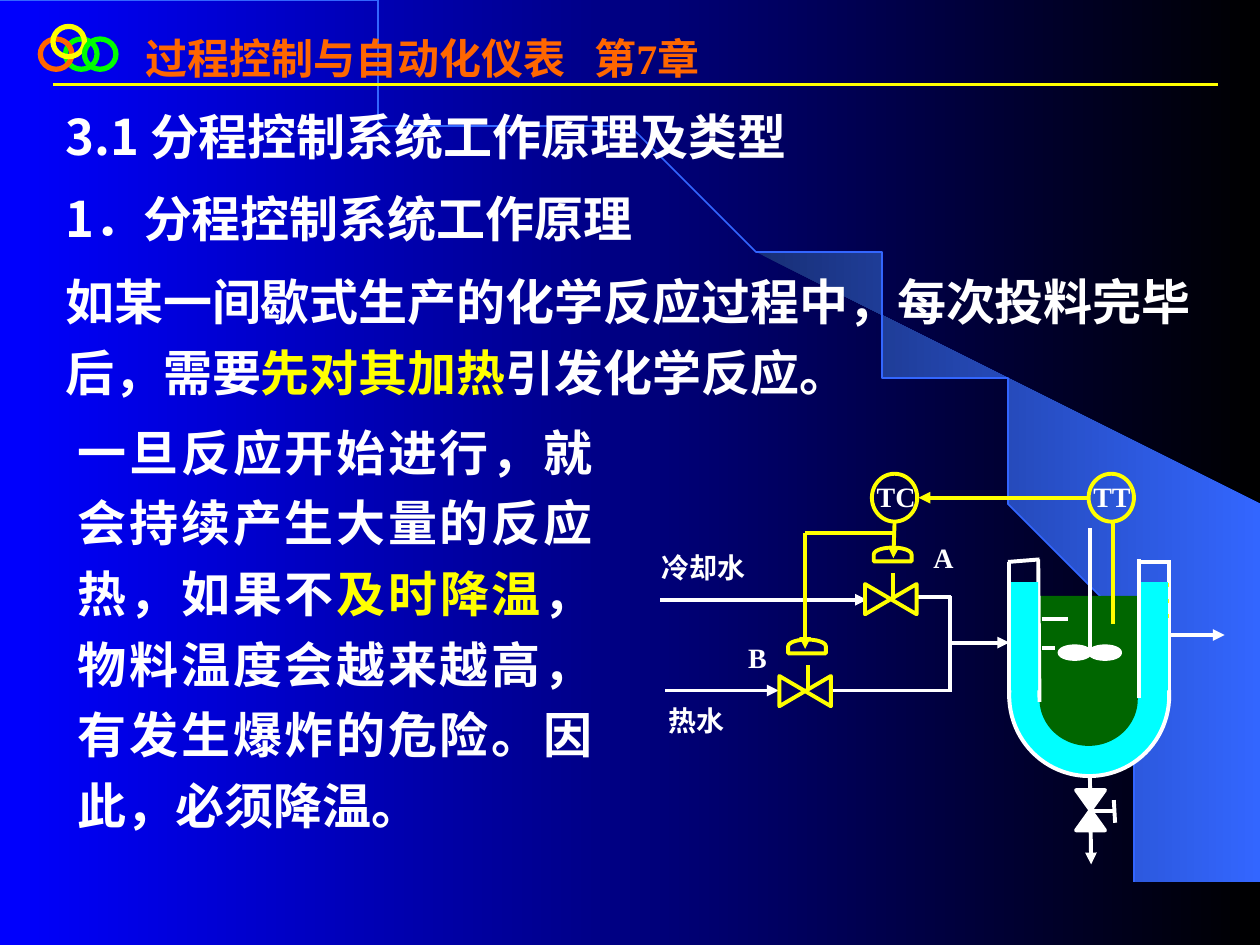
import math
from dataclasses import dataclass

from lxml import etree
from pptx import Presentation
from pptx.dml.color import RGBColor
from pptx.enum.shapes import MSO_CONNECTOR, MSO_SHAPE
from pptx.enum.text import MSO_ANCHOR, PP_ALIGN
from pptx.oxml.ns import qn
from pptx.util import Inches, Pt

STRAIGHT = MSO_CONNECTOR.STRAIGHT
OVAL, RECT = MSO_SHAPE.OVAL, MSO_SHAPE.RECTANGLE
COLLATE, DELAY = MSO_SHAPE.FLOWCHART_COLLATE, MSO_SHAPE.FLOWCHART_DELAY
LEFT, JUSTIFY, TOP = PP_ALIGN.LEFT, PP_ALIGN.JUSTIFY, MSO_ANCHOR.TOP

COLORS = {
    "white": "FFFFFF", "yellow": "FFFF00", "orange": "FF6600", "green": "00FF00",
    "blue": "0000FF", "black": "000000", "navy": "182F76", "sky": "3366FF",
    "water": "00FFFF", "liquid": "006600",
}
SERIF, SANS = "Times New Roman", "Noto Sans CJK SC"


@dataclass
class Line:
    x1: float
    y1: float
    x2: float
    y2: float
    color: str = "white"
    arrow: bool = False
    width: float = 2.25


@dataclass
class Part:
    kind: int
    x: float
    y: float
    w: float
    h: float
    fill: str = ""
    line: str = ""
    rotation: int = 0
    width: float = 2.25


@dataclass
class Run:
    text: str
    color: str = "white"


@dataclass
class Para:
    runs: list[Run]
    align: int = JUSTIFY
    before: float = 0
    spacing: float = 1.2


def rgb(name: str) -> RGBColor:
    return RGBColor.from_string(COLORS[name])


def gradient(fill, start: str, end: str) -> None:
    fill.gradient()
    fill.gradient_angle = 0
    for stop, name, place in zip(fill.gradient_stops, (start, end), (0, 1)):
        stop.color.rgb = rgb(name)
        stop.position = place


def draw_line(shapes, ln: Line) -> None:
    c = shapes.add_connector(STRAIGHT, *(Inches(v) for v in (ln.x1, ln.y1, ln.x2, ln.y2)))
    c.line.color.rgb = rgb(ln.color)
    c.line.width = Pt(ln.width)
    if ln.arrow:
        etree.SubElement(c.line._get_or_add_ln(), qn("a:tailEnd"), type="triangle")
    etree.SubElement(c._element.spPr, qn("a:effectLst"))


def draw_part(shapes, part: Part) -> None:
    sp = shapes.add_shape(part.kind, *(Inches(v) for v in (part.x, part.y, part.w, part.h)))
    sp.shadow.inherit = False
    sp.rotation = part.rotation
    if part.fill:
        sp.fill.solid()
        sp.fill.fore_color.rgb = rgb(part.fill)
    else:
        sp.fill.background()
    if part.line:
        sp.line.color.rgb = rgb(part.line)
        sp.line.width = Pt(part.width)
    else:
        sp.line.fill.background()


def draw(shapes, items: list) -> None:
    for item in items:
        (draw_line if isinstance(item, Line) else draw_part)(shapes, item)


def add_text(shapes, x: float, y: float, w: float, h: float, paras: list[Para],
             size: int, font: str = SERIF):
    tf = shapes.add_textbox(Inches(x), Inches(y), Inches(w), Inches(h)).text_frame
    tf.word_wrap = True
    tf.vertical_anchor = TOP
    for i, para in enumerate(paras):
        p = tf.add_paragraph() if i else tf.paragraphs[0]
        p.alignment = para.align
        p.line_spacing = para.spacing
        p.space_before = Pt(para.before)
        for run in para.runs:
            r = p.add_run()
            r.text = run.text
            r.font.size, r.font.bold, r.font.name = Pt(size), True, font
            r.font.color.rgb = rgb(run.color)
            etree.SubElement(r._r.get_or_add_rPr(), qn("a:ea"), typeface=SANS)
    return tf


def add_label(shapes, x: float, y: float, w: float, text: str) -> None:
    add_text(shapes, x, y, w, 0.35, [Para([Run(text)])], 16)


def outline(shapes, points: list, closed: bool):
    fb = shapes.build_freeform(*points[0], scale=Inches(1))
    fb.add_line_segments(points[1:], close=closed)
    sp = fb.convert_to_shape()
    sp.shadow.inherit = False
    return sp


def valve(shapes, cx: float, cy: float) -> None:
    draw(shapes, [
        Part(COLLATE, cx - 0.12, cy - 0.2, 0.24, 0.41, line="yellow", rotation=270),
        Line(cx + 0.02, cy, cx + 0.02, cy - 0.2, "yellow"),
        Part(DELAY, cx - 0.04, cy - 0.5, 0.11, 0.3, line="yellow", rotation=270),
    ])


def instrument(shapes, x: float, name: str) -> None:
    draw_part(shapes, Part(OVAL, x, 3.76, 0.36, 0.38, line="yellow"))
    add_label(shapes, x - 0.06, 3.7, 0.7, name)


def draw_backdrop(s) -> None:
    gradient(s.background.fill, "blue", "black")
    beam = outline(s.shapes, [
        (9.2, 7.48), (9.99, 7.49), (9.99, 4.23), (5.89, 1.73), (6.24, 1.99), (6.53, 2.22),
        (6.85, 2.5), (7.16, 2.8), (7.62, 3.3), (8.03, 3.84), (8.32, 4.31), (8.58, 4.79),
        (8.78, 5.28), (8.93, 5.72), (9.03, 6.09), (9.13, 6.56), (9.17, 6.96)], True)
    gradient(beam.fill, "navy", "sky")
    beam.line.fill.background()
    angles = [math.radians(d) for d in range(0, 91, 2)]
    arc = outline(s.shapes, [(9.2 * math.sin(a), 7.49 * (1 - math.cos(a))) for a in angles], False)
    arc.fill.background()
    arc.line.color.rgb = rgb("sky")
    arc.line.width = Pt(1)


def draw_header(shapes) -> None:
    draw_line(shapes, Line(0.42, 0.67, 9.67, 0.67, "yellow", width=1.5))
    rings = [(0.52, 0.31, "green"), (0.32, 0.31, "orange"),
             (0.42, 0.21, "yellow"), (0.67, 0.31, "green")]
    draw(shapes, [Part(OVAL, x, y, 0.25, 0.24, line=c, width=3) for x, y, c in rings])
    title = Para([Run("过程控制与自动化仪表\t第7章", "orange")], LEFT, spacing=1.0)
    tf = add_text(shapes, 1.06, 0.21, 8.42, 0.5, [title], 24)
    tabs = etree.SubElement(tf.paragraphs[0]._p.get_or_add_pPr(), qn("a:tabLst"))
    etree.SubElement(tabs, qn("a:tab"), pos=str(Inches(3.56)), algn="l")


def draw_reactor(shapes) -> None:
    # Vessel, stirrer and level marks
    draw(shapes, [
        Part(OVAL, 8.01, 4.88, 1.27, 1.28, "water", "white"),
        Part(OVAL, 8.25, 5.18, 0.78, 0.74, "liquid"),
        Part(RECT, 8.24, 4.73, 0.8, 0.8, "liquid"),
        Line(8.24, 4.44, 8.25, 5.57), Line(9.28, 4.45, 9.28, 5.55),
        Line(8, 4.46, 8.25, 4.44), Line(9.03, 4.46, 9.29, 4.46),
        Line(8.65, 4.19, 8.65, 5.18),
        *(Part(OVAL, x, 5.13, 0.24, 0.1, "white", "white") for x in (8.41, 8.65)),
        Line(8.27, 4.91, 8.48, 4.91), Line(8.27, 5.14, 8.37, 5.14),
        *(Line(x, y, 9.28, y, "yellow") for x, y in ((9.08, 4.64), (9.14, 4.77), (9.23, 4.89))),
    ])
    # Jacket walls, outlet and drain valve
    draw(shapes, [
        *(Part(RECT, x, 4.62, 0.23, 0.86, "water") for x in (8.01, 9.04)),
        Line(8.01, 4.46, 8.01, 5.55), Line(9.04, 4.44, 9.04, 5.54),
        Line(9.27, 5.04, 9.72, 5.04, arrow=True),
        Line(8.65, 6.16, 8.66, 6.86, arrow=True),
        Part(COLLATE, 8.54, 6.27, 0.23, 0.32, "white", "white", 180),
        Line(8.66, 6.44, 8.84, 6.44), Line(8.84, 6.35, 8.85, 6.53),
    ])


def draw_control_loop(shapes) -> None:
    # Water pipes
    draw(shapes, [
        Line(5.24, 4.76, 6.88, 4.76, arrow=True), Line(5.28, 5.48, 6.18, 5.48, arrow=True),
        Line(7.27, 4.74, 7.55, 4.74), Line(6.59, 5.48, 7.55, 5.48),
        Line(7.54, 4.73, 7.54, 5.49), Line(7.54, 5.1, 8.01, 5.1, arrow=True),
    ])
    valve(shapes, 7.07, 4.75)
    valve(shapes, 6.39, 5.48)
    # Signals
    draw(shapes, [
        Line(7.1, 4.14, 7.09, 4.43, "yellow", True), Line(6.39, 4.23, 7.09, 4.23, "yellow"),
        Line(6.39, 4.23, 6.39, 5.15, "yellow", True), Line(8.83, 4.14, 8.83, 4.95, "yellow"),
        Line(8.63, 3.95, 7.29, 3.95, "yellow", True),
    ])
    instrument(shapes, 6.92, "TC")
    instrument(shapes, 8.64, "TT")
    for x, y, w, text in ((5.15, 4.27, 1.06, "冷却水"), (5.21, 5.48, 0.88, "热水"),
                          (7.31, 4.19, 0.54, "A"), (5.84, 4.98, 0.54, "B")):
        add_label(shapes, x, y, w, text)


def main() -> None:
    prs = Presentation()
    prs.slide_width, prs.slide_height = Inches(10), Inches(7.5)
    s = prs.slides.add_slide(prs.slide_layouts[6])
    draw_backdrop(s)
    draw_header(s.shapes)
    add_text(s.shapes, 0.42, 0.7, 9.2, 2.54, [
        Para([Run("3.1 分程控制系统工作原理及类型")]),
        Para([Run("1．分程控制系统工作原理")], LEFT, 7),
        Para([Run("如某一间歇式生产的化学反应过程中，每次投料完毕后，需要"),
              Run("先对其加热", "yellow"), Run("引发化学反应。")], LEFT, 7),
    ], 28, SANS)
    draw_reactor(s.shapes)
    draw_control_loop(s.shapes)
    add_text(s.shapes, 0.52, 3.21, 4.28, 3.46, [
        Para([Run("一旦反应开始进行，就会持续产生大量的反应热，如果不"), Run("及时降温", "yellow"),
              Run("，物料温度会越来越高，有发生爆炸的危险。因此，必须降温。")]),
    ], 28)
    prs.save("out.pptx")


if __name__ == "__main__":
    main()
